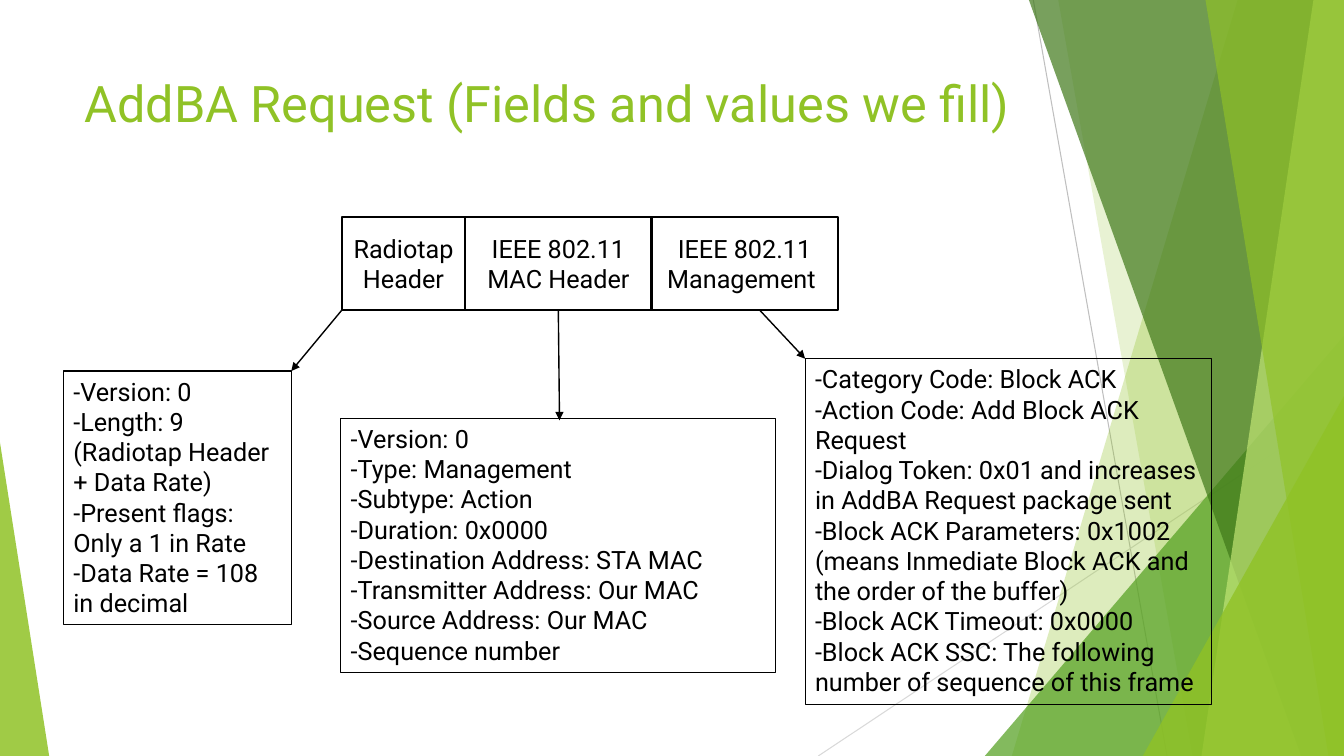
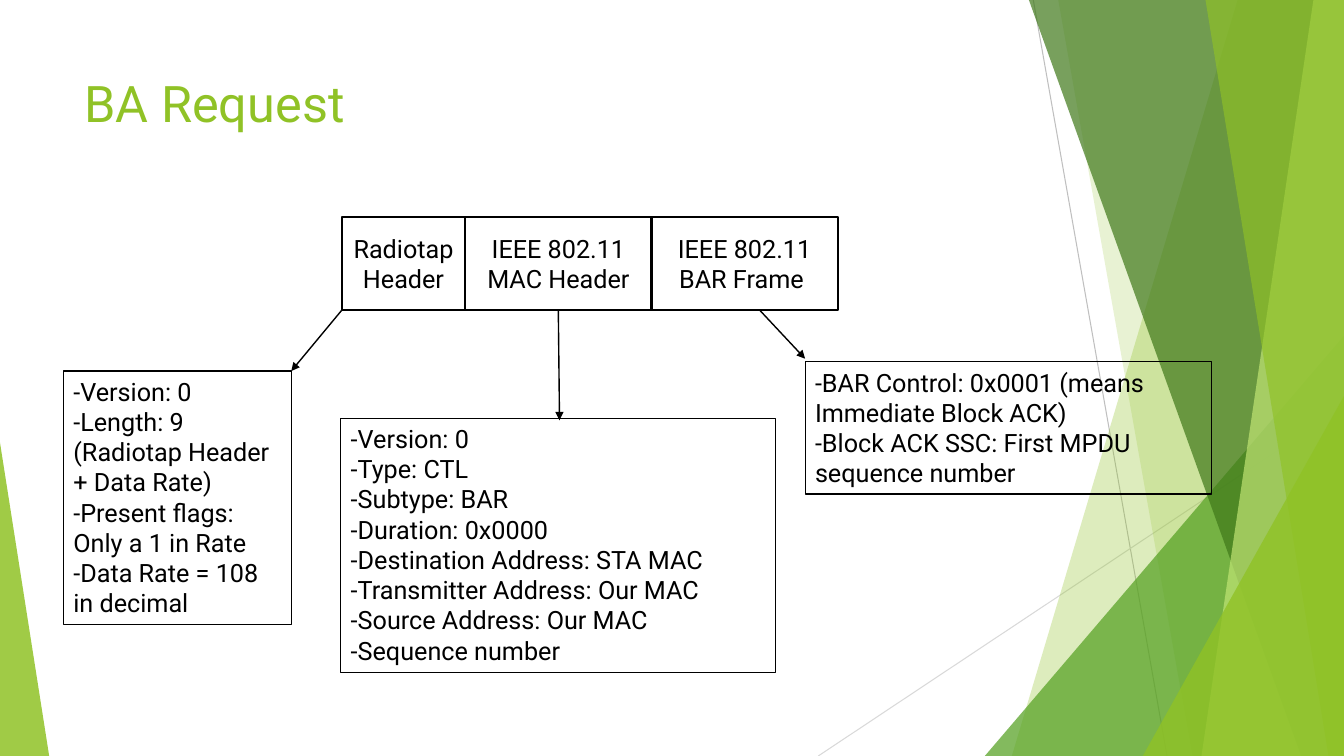
from pptx import Presentation
from pptx import util as u
from pptx.dml.color import RGBColor
from pptx.enum import shapes, text
from pptx.oxml import ns
from lxml import etree

WIDTH, HEIGHT = 33.87, 19.05
FONT = "Roboto"
BLACK, LIME, GREEN, FOREST, PALE = "000000", "90C226", "54A021", "3F7819", "C0E474"

# Header row: left edge, top, height and cell widths
ROW_X, ROW_Y, ROW_H = 8.61, 5.46, 2.36
CELL_WIDTHS = (3.12, 4.69, 4.69)

RADIOTAP = (
    "-Version: 0",
    "-Length: 9 (Radiotap Header + Data Rate)",
    "-Present flags: Only a 1 in Rate",
    "-Data Rate = 108 in decimal",
)


def color(hex_value):
    return RGBColor.from_string(hex_value)


def cm(*lengths):
    return [u.Cm(n) for n in lengths]


def add_xml(parent, tag, **attributes):
    return etree.SubElement(parent, ns.qn(tag), **attributes)


def style_text(tf, size, hex_value, align=text.PP_ALIGN.LEFT):
    tf.word_wrap = True
    for p in tf.paragraphs:
        p.alignment = align
        for r in p.runs:
            r.font.name = FONT
            r.font.size = u.Pt(size)
            r.font.color.rgb = color(hex_value)


def add_line(s, start, end, hex_value, width, arrow=False):
    line = s.shapes.add_connector(shapes.MSO_CONNECTOR.STRAIGHT, *cm(*start, *end))
    line.line.color.rgb = color(hex_value)
    line.line.width = u.Pt(width)
    if arrow:
        add_xml(line.line._get_or_add_ln(), "a:tailEnd", type="triangle")
    add_xml(line.element.spPr, "a:effectLst")


def tint(sp, hex_value, opacity):
    sp.shadow.inherit = False
    sp.fill.solid()
    sp.fill.fore_color.rgb = color(hex_value)
    sp.line.fill.background()
    rgb = next(sp.element.spPr.iter(ns.qn("a:srgbClr")))
    add_xml(rgb, "a:alpha", val=str(opacity * 1000))


def add_band(s, top_x, bottom_x, hex_value, opacity):
    """Band from a slanted left side to the right edge of the slide."""
    builder = s.shapes.build_freeform(*cm(top_x, 0))
    corners = ((WIDTH, 0), (WIDTH, HEIGHT), (bottom_x, HEIGHT))
    builder.add_line_segments([cm(*corner) for corner in corners], close=True)
    tint(builder.convert_to_shape(), hex_value, opacity)


def add_triangle(s, x, y, width, apex, hex_value, opacity):
    """Triangle standing on the bottom edge of the slide."""
    sp = s.shapes.add_shape(shapes.MSO_SHAPE.ISOSCELES_TRIANGLE,
                            *cm(x, y, width, HEIGHT - y))
    sp.adjustments[0] = apex
    tint(sp, hex_value, opacity)


def add_background(s):
    add_line(s, (26.04, 0), (29.41, HEIGHT), "BFBFBF", 0.75)
    add_line(s, (WIDTH, 10.24), (20.62, HEIGHT), "D9D9D9", 0.75)
    add_band(s, 31.19, 25.5, LIME, 30)
    add_band(s, 26.67, 30.05, LIME, 20)
    add_triangle(s, 24.82, 8.46, 9.05, 1, GREEN, 72)
    add_band(s, 25.93, 32.79, FOREST, 70)
    add_band(s, 33.1, 30.28, PALE, 70)
    add_band(s, 30.38, 33.48, LIME, 65)
    add_triangle(s, 28.8, 9.98, 5.07, 1, LIME, 80)
    add_triangle(s, 0, 11.15, 1.24, 0, LIME, 85)


def add_title(s, title):
    tf = s.shapes.add_textbox(*cm(1.88, 1.7, 24.64, 3.66)).text_frame
    tf.text = title
    style_text(tf, 36, LIME)


def add_box(s, box, content, line_width):
    sp = s.shapes.add_shape(shapes.MSO_SHAPE.RECTANGLE, *cm(*box))
    sp.shadow.inherit = False
    sp.fill.background()
    sp.line.color.rgb = color(BLACK)
    sp.line.width = u.Pt(line_width)
    sp.text_frame.text = content
    return sp.text_frame


def add_header_row(s, x, y, height, names):
    for name, width in zip(names, CELL_WIDTHS):
        tf = add_box(s, (x, y, width, height), name, 1.5)
        tf.vertical_anchor = text.MSO_ANCHOR.MIDDLE
        style_text(tf, 18, BLACK, text.PP_ALIGN.CENTER)
        x += width


def add_details(s, box, fields):
    tf = add_box(s, box, "\n".join(fields), 0.75)
    tf.vertical_anchor = text.MSO_ANCHOR.TOP
    style_text(tf, 18, BLACK)
    tf.auto_size = text.MSO_AUTO_SIZE.SHAPE_TO_FIT_TEXT


def add_frame_slide(prs, title, frame_name, mac_fields, body_fields, body_y, body_h):
    s = prs.slides.add_slide(prs.slide_layouts[6])
    add_background(s)
    add_title(s, title)
    names = ("Radiotap Header", "IEEE 802.11 MAC Header", f"IEEE 802.11 {frame_name} ")
    add_header_row(s, ROW_X, ROW_Y, ROW_H, names)

    # Each part: arrow start, arrow tip, details box, fields
    parts = (
        (ROW_X, (7.34, 9.35), (1.6, 9.35, 5.74, 6.4), RADIOTAP),
        (14.07, (14.1, 10.59), (8.59, 10.54, 10.95, 6.4), mac_fields),
        (19.15, (20.29, 9.04), (20.29, body_y, 10.24, body_h), body_fields),
    )
    for start_x, tip, box, fields in parts:
        add_line(s, (start_x, ROW_Y + ROW_H), tip, BLACK, 1, arrow=True)
        add_details(s, box, fields)


def mac_header(kind, subtype):
    return (
        "-Version: 0",
        f"-Type: {kind}",
        f"-Subtype: {subtype}",
        "-Duration: 0x0000",
        "-Destination Address: STA MAC",
        "-Transmitter Address: Our MAC",
        "-Source Address: Our MAC",
        "-Sequence number",
    )


def main():
    prs = Presentation()
    prs.slide_width, prs.slide_height = cm(WIDTH, HEIGHT)

    add_frame_slide(
        prs, "AddBA Request (Fields and values we fill)", "Management",
        mac_header("Management", "Action"),
        (
            "-Category Code: Block ACK",
            "-Action Code: Add Block ACK Request",
            "-Dialog Token: 0x01 and increases in AddBA Request package sent",
            "-Block ACK Parameters: 0x1002 (means Inmediate Block ACK and "
            "the order of the buffer)",
            "-Block ACK Timeout: 0x0000",
            "-Block ACK SSC: The following number of sequence of this frame",
        ),
        body_y=9.04, body_h=8.71)

    add_frame_slide(
        prs, "BA Request", "BAR Frame",
        mac_header("CTL", "BAR"),
        (
            "-BAR Control: 0x0001 (means Immediate Block ACK)",
            "-Block ACK SSC: First MPDU sequence number",
        ),
        body_y=9.12, body_h=3.33)

    prs.save("out.pptx")


if __name__ == "__main__":
    main()
